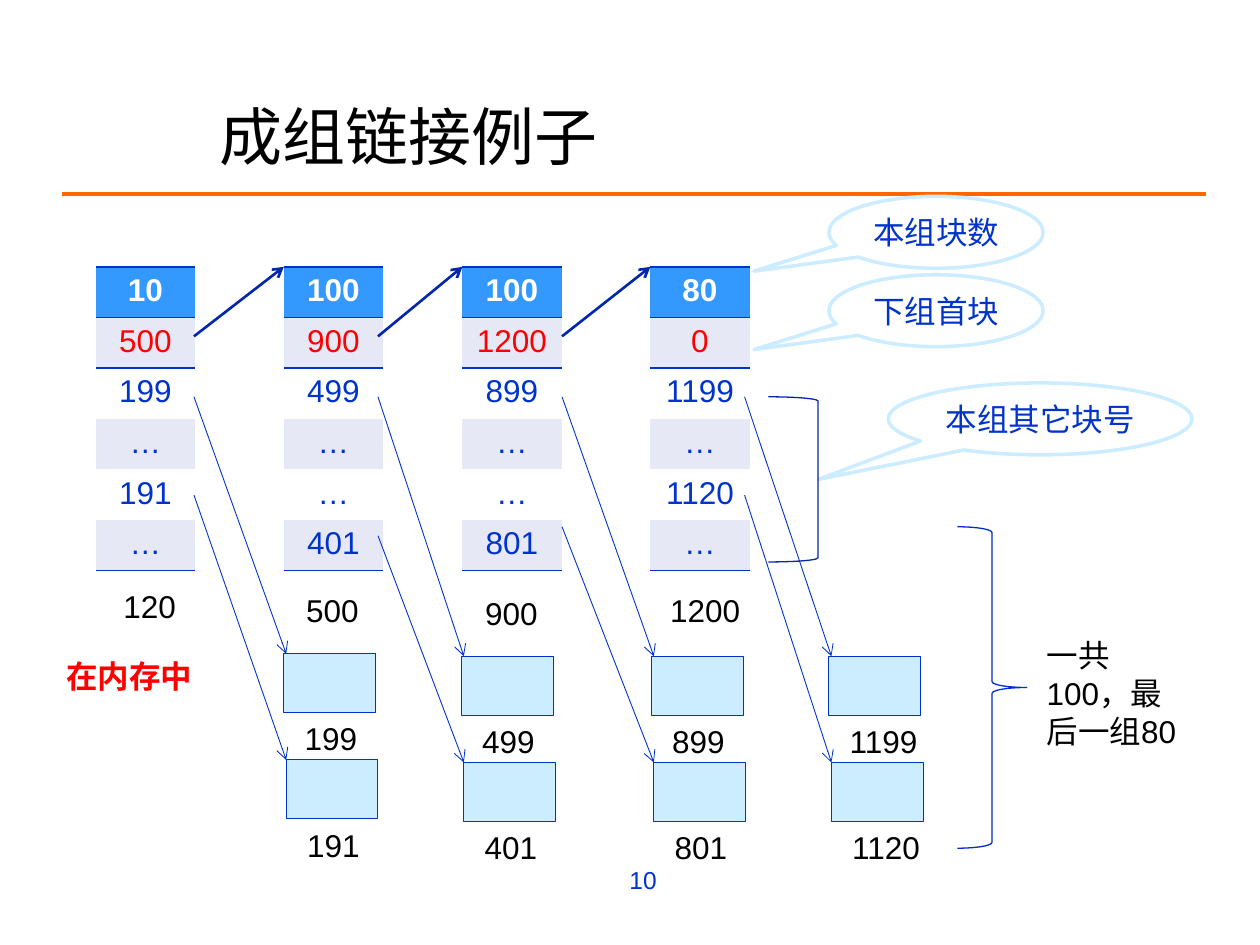
from dataclasses import dataclass

from lxml.etree import SubElement as Sub
from pptx import Presentation
from pptx.dml.color import RGBColor as Rgb
from pptx.enum.shapes import MSO_CONNECTOR as Link, MSO_SHAPE as Kind
from pptx.enum.text import MSO_ANCHOR as Anchor, PP_ALIGN as Align
from pptx.oxml.ns import qn
from pptx.util import Cm, Pt

HUES = {
    "ink": "000000", "white": "FFFFFF", "red": "FF0000", "blue": "0033CC",
    "navy": "0027AE", "brace": "002FCC", "rule": "FF6600", "head": "3399FF",
    "band": "E7E8F6", "pale": "CCECFF",
}
NO_STYLE = "{2D5ABB26-0587-4C30-8999-92F81FD0307C}"
TOP, COL_W, ROW_H = 5.38, 2.0, 1.02
BOX_W, BOX_H = 1.85, 1.19
STEP_X, STEP_Y = 0.05, 2.14


@dataclass
class Group:
    """One table of block numbers, with its caption and the blocks it lists."""
    left: float
    cells: list[str]
    name: str
    name_x: float
    name_y: float
    box_x: float
    box_y: float
    blocks: list[str]
    from_x: float
    from_y: float


@dataclass
class Bubble:
    text: str
    left: float
    top: float
    width: float
    tip: tuple[float, float]


GROUPS = [
    Group(1.93, ["10", "500", "199", "…", "191", "…"], "120", 2.24, 11.71,
          5.72, 13.18, ["199", "191"], 3.91, 9.98),
    Group(5.72, ["100", "900", "499", "…", "…", "401"], "500", 5.92, 11.79,
          9.3, 13.23, ["499", "401"], 7.62, 10.8),
    Group(9.32, ["100", "1200", "899", "…", "…", "801"], "900", 9.53, 11.86,
          13.13, 13.23, ["899", "801"], 11.33, 10.62),
    Group(13.11, ["80", "0", "1199", "…", "1120", "…"], "1200", 13.26, 11.79,
          16.71, 13.23, ["1199", "1120"], 15.01, 9.98),
]
BUBBLES = [
    Bubble("本组块数", 16.71, 3.96, 4.32, (-0.85, 0.54)),
    Bubble("下组首块", 16.71, 5.54, 4.32, (-0.85, 0.54)),
    Bubble("本组其它块号", 17.91, 7.72, 6.12, (-0.73, 0.84)),
]


def hue(name: str) -> Rgb:
    return Rgb.from_string(HUES[name])


def write(frame, text: str, tint: str = "ink", size: float = 18,
          bold: bool = False, align=Align.LEFT) -> None:
    frame.text = text
    para = frame.paragraphs[0]
    para.alignment = align
    font = para.runs[0].font
    font.name, font.size, font.bold = "Arial", Pt(size), bold
    font.color.rgb = hue(tint)


def add_text(slide, text: str, x: float, y: float, w: float, h: float = 1.02,
             **style):
    frame = slide.shapes.add_textbox(Cm(x), Cm(y), Cm(w), Cm(h)).text_frame
    frame.word_wrap = True
    write(frame, text, **style)
    return frame


def add_label(slide, text: str, x: float, y: float) -> None:
    add_text(slide, text, x, y, 2.03 if len(text) > 3 else 1.62)


def add_form(slide, kind, x: float, y: float, w: float, h: float,
             line: str, width: float, fill: str | None = None):
    form = slide.shapes.add_shape(kind, Cm(x), Cm(y), Cm(w), Cm(h))
    form.shadow.inherit = False
    if fill:
        form.fill.solid()
        form.fill.fore_color.rgb = hue(fill)
    else:
        form.fill.background()
    form.line.color.rgb = hue(line)
    form.line.width = Pt(width)
    return form


def add_line(slide, x1: float, y1: float, x2: float, y2: float, tint: str,
             width: float, arrow: bool = True) -> None:
    link = slide.shapes.add_connector(
        Link.STRAIGHT, Cm(x1), Cm(y1), Cm(x2), Cm(y2))
    link.line.color.rgb = hue(tint)
    link.line.width = Pt(width)
    if arrow:
        Sub(link.line._get_or_add_ln(), qn("a:tailEnd"), type="arrow")
    Sub(link.element.spPr, qn("a:effectLst"))


def add_edge(cell, side: str) -> None:
    """Draw a blue border on one side: lnT or lnB."""
    props = cell._tc.get_or_add_tcPr()
    edge = Sub(props, qn("a:" + side), w=str(Pt(0.96)))
    Sub(Sub(edge, qn("a:solidFill")), qn("a:srgbClr"), val=HUES["blue"])


def add_grid(slide, group: Group) -> None:
    count = len(group.cells)
    shape = slide.shapes.add_table(
        count, 1, Cm(group.left), Cm(TOP), Cm(COL_W), Cm(count * ROW_H))
    grid = shape.table
    grid.first_row = grid.horz_banding = False
    next(shape.element.iter(qn("a:tableStyleId"))).text = NO_STYLE
    for row, text in enumerate(group.cells):
        cell = grid.cell(row, 0)
        if row == 0:
            add_edge(cell, "lnT")
        if row in (0, count - 1):
            add_edge(cell, "lnB")
        if row == 1:
            add_edge(cell, "lnT")
        fill = "head" if row == 0 else "band" if row % 2 else "white"
        cell.fill.solid()
        cell.fill.fore_color.rgb = hue(fill)
        tint = {0: "white", 1: "red"}.get(row, "blue")
        write(cell.text_frame, text, tint, bold=row == 0, align=Align.CENTER)


def add_blocks(slide, group: Group) -> None:
    for i, text in enumerate(group.blocks):
        x, y = group.box_x + i * STEP_X, group.box_y + i * STEP_Y
        add_form(slide, Kind.RECTANGLE, x, y, BOX_W, BOX_H, "blue", 0.5, "pale")
        add_label(slide, text, x + 0.17, y + 1.2)


def add_links(slide, group: Group) -> None:
    """Join the table's first and last listed numbers to their blocks."""
    for i, y in enumerate((8.0, group.from_y)):
        add_line(slide, group.from_x, y, group.box_x + STEP_X,
                 group.box_y + i * STEP_Y, "blue", 0.5)


def add_bubble(slide, item: Bubble) -> None:
    form = add_form(slide, Kind.OVAL_CALLOUT, item.left, item.top, item.width,
                    1.45, "pale", 2, "white")
    form.adjustments[0], form.adjustments[1] = item.tip
    form.text_frame.word_wrap = False
    write(form.text_frame, item.text, "blue", align=Align.CENTER)


def main() -> None:
    deck = Presentation()
    deck.slide_width, deck.slide_height = Cm(25.4), Cm(19.05)
    slide = deck.slides.add_slide(deck.slide_layouts[6])

    add_line(slide, 1.25, 3.91, 24.31, 3.91, "rule", 2.25, arrow=False)
    title = add_text(slide, "成组链接例子", 4.17, 1.91, 18.44, 1.63, size=36)
    title.vertical_anchor = Anchor.MIDDLE
    add_text(slide, "10", 7.11, 17.32, 6.38, 1.32, tint="blue", size=14,
             align=Align.RIGHT)

    for group in GROUPS:
        add_grid(slide, group)
        add_label(slide, group.name, group.name_x, group.name_y)
    for group, after in zip(GROUPS, GROUPS[1:]):
        add_line(slide, group.from_x, 6.78, after.left, TOP, "navy", 1.5)
    for group in GROUPS:
        add_blocks(slide, group)
    for group in GROUPS:
        add_links(slide, group)
    for item in BUBBLES:
        add_bubble(slide, item)

    add_form(slide, Kind.RIGHT_BRACE, 19.3, 10.62, 1.4, 6.48, "brace", 0.75)
    add_form(slide, Kind.RIGHT_BRACKET, 15.49, 8.0, 1.0, 3.33, "navy", 0.75)
    add_text(slide, "一共100，最后一组80", 20.85, 12.7, 3.25, 3.3)
    add_text(slide, "在内存中", 1.09, 13.13, 3.4, tint="red", bold=True)
    deck.save("out.pptx")


if __name__ == "__main__":
    main()
